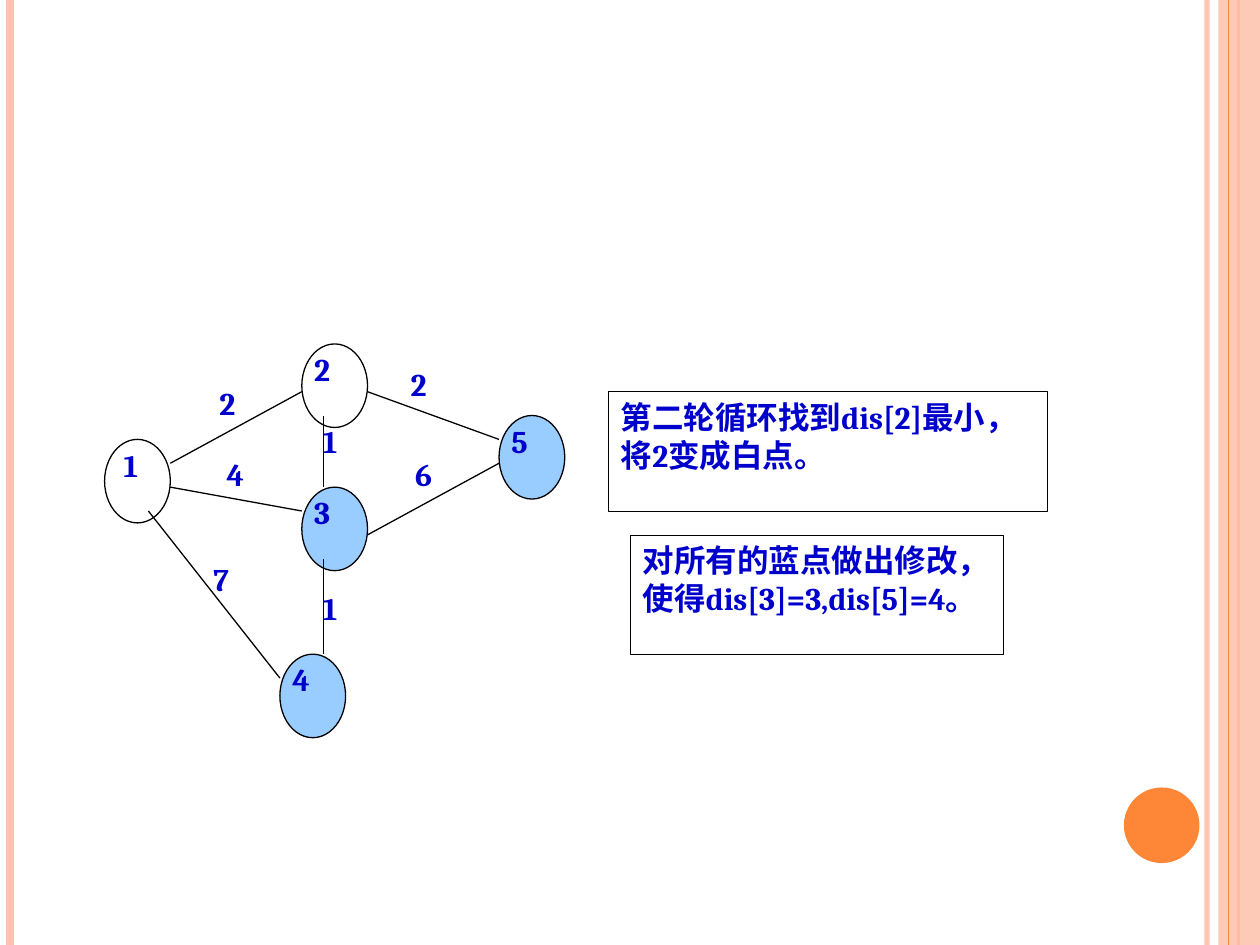
"""Draw the second round of the shortest-route search on a five-node graph."""
from dataclasses import dataclass
from typing import Any, Optional

from lxml.etree import SubElement
from pptx import Presentation
from pptx.dml.color import RGBColor
from pptx.enum.shapes import MSO_CONNECTOR, MSO_SHAPE
from pptx.enum.text import MSO_ANCHOR, PP_ALIGN
from pptx.oxml.ns import qn
from pptx.util import Inches, Pt

WIDE, HIGH = 10, 7.5
LEFT, TOP = 0.83, 2.73
COL, ROW = WIDE / 57.5, HIGH / 39.6


@dataclass(frozen=True)
class Theme:
    ink: str = "0000CC"
    edge: str = "000000"
    blue: str = "99CCFF"
    peach: str = "FEC3AE"
    warm: str = "FE8637"
    font: str = "Cambria"
    size: float = 18
    thin: float = 0.75
    hair: float = 0.25


@dataclass(frozen=True)
class Node:
    col: float
    row: float
    fill: Optional[str] = None


@dataclass(frozen=True)
class Edge:
    col: float
    row: float
    to_col: float
    to_row: float


@dataclass(frozen=True)
class Label:
    text: str
    col: float
    row: float
    cols: float = 2
    rows: float = 3


@dataclass(frozen=True)
class Stripe:
    left: float
    color: str
    width: float
    alpha: int = 100


THEME = Theme()
STRIPES = [
    Stripe(0.958, THEME.peach, 3, 93),
    Stripe(0.008, THEME.peach, 4.5),
    Stripe(0.983, THEME.warm, 1.5),
]
FRONT = Stripe(0.975, THEME.warm, 0.75)
NODES = [
    Node(0, 4),
    Node(9, 0),
    Node(8, 13, THEME.blue),
    Node(9, 6, THEME.blue),
    Node(18, 3, THEME.blue),
]
EDGES = [
    Edge(3, 5, 9, 2),
    Edge(2, 7, 8, 14),
    Edge(3, 6, 9, 7),
    Edge(10, 3, 10, 6),
    Edge(10, 9, 10, 13),
    Edge(12, 8, 18, 5),
    Edge(12, 2, 18, 4),
]
LABELS = [
    Label("1", 0.3, 4),
    Label("2", 9, 0, 3),
    Label("3", 9, 6, 3, 4),
    Label("4", 8, 13, 3, 4),
    Label("5", 18, 3, 3, 4),
    Label("2", 4.67, 1.4),
    Label("4", 5, 4.4),
    Label("7", 4.4, 8.8, 3),
    Label("1", 9.4, 3, 3, 5),
    Label("1", 9.4, 10, 4, 4),
    Label("6", 13.6, 4.4),
    Label("2", 13.4, 0.6),
]
NOTES = [
    Label("第二轮循环找到dis[2]最小，将2变成白点。", 23, 2, 20, 5),
    Label("对所有的蓝点做出修改，使得dis[3]=3,dis[5]=4。", 24, 8, 17, 5),
]


def x_at(col: float) -> int:
    """Turn a grid column into a place across the slide."""
    return Inches(LEFT + col * COL)


def y_at(row: float) -> int:
    """Turn a grid row into a place down the slide."""
    return Inches(TOP + row * ROW)


def fade(fill: Any, alpha: int) -> None:
    """Make a solid fill partly clear."""
    tint = fill._xPr.find(qn("a:solidFill"))[0]
    SubElement(tint, qn("a:alpha"), val=str(alpha * 1000))


def draw_line(shapes: Any, ends: tuple, color: str, width: float, alpha: int = 100) -> None:
    """Draw a straight line with no shadow."""
    line = shapes.add_connector(MSO_CONNECTOR.STRAIGHT, *ends)
    line.line.color.rgb = RGBColor.from_string(color)
    line.line.width = Pt(width)
    if alpha < 100:
        fade(line.line.fill, alpha)
    SubElement(line.element.spPr, qn("a:effectLst"))


def draw_shape(shapes: Any, kind: Any, box: tuple, fill: Optional[str] = None,
               width: float = 0) -> Any:
    """Draw a preset shape with an optional fill and outline."""
    shape = shapes.add_shape(kind, *box)
    shape.shadow.inherit = False
    if fill:
        shape.fill.solid()
        shape.fill.fore_color.rgb = RGBColor.from_string(fill)
    else:
        shape.fill.background()
    if width:
        shape.line.color.rgb = RGBColor.from_string(THEME.edge)
        shape.line.width = Pt(width)
    else:
        shape.line.fill.background()
    return shape


def draw_stripe(shapes: Any, stripe: Stripe) -> None:
    """Draw a stripe down the whole slide."""
    left = Inches(stripe.left * WIDE)
    draw_line(shapes, (left, 0, left, Inches(HIGH)), stripe.color, stripe.width, stripe.alpha)


def draw_frame(shapes: Any) -> None:
    """Draw the side stripes, the band and the dot."""
    for stripe in STRIPES:
        draw_stripe(shapes, stripe)
    left = Inches(0.967 * WIDE)
    band = draw_shape(shapes, MSO_SHAPE.RECTANGLE,
                      (left, 0, Inches(WIDE) - left, Inches(HIGH)), THEME.peach)
    fade(band.fill, 87)
    draw_stripe(shapes, FRONT)
    draw_shape(shapes, MSO_SHAPE.OVAL,
               (Inches(8.92), Inches(6.25), Inches(0.6), Inches(0.6)), THEME.warm)


def place(label: Label) -> tuple:
    """Give the box that a label fills on the grid."""
    return (x_at(label.col), y_at(label.row),
            Inches(label.cols * COL), Inches(label.rows * ROW))


def write(shape: Any, text: str) -> None:
    """Write bold text at the top left of a shape."""
    frame = shape.text_frame
    frame.word_wrap = True
    frame.vertical_anchor = MSO_ANCHOR.TOP
    para = frame.paragraphs[0]
    para.alignment = PP_ALIGN.LEFT
    run = para.add_run()
    run.text = text
    run.font.name = THEME.font
    run.font.size = Pt(THEME.size)
    run.font.bold = True
    run.font.color.rgb = RGBColor.from_string(THEME.ink)


def draw_graph(shapes: Any) -> None:
    """Draw the nodes, edges, labels and notes."""
    for node in NODES:
        box = (x_at(node.col), y_at(node.row), Inches(3 * COL), Inches(3.5 * ROW))
        draw_shape(shapes, MSO_SHAPE.OVAL, box, node.fill, THEME.thin)
    for edge in EDGES:
        ends = (x_at(edge.col), y_at(edge.row), x_at(edge.to_col), y_at(edge.to_row))
        draw_line(shapes, ends, THEME.edge, THEME.thin)
    for label in LABELS:
        write(shapes.add_textbox(*place(label)), label.text)
    for note in NOTES:
        write(draw_shape(shapes, MSO_SHAPE.RECTANGLE, place(note), width=THEME.hair), note.text)


def main() -> None:
    """Build the slide and save it."""
    deck = Presentation()
    deck.slide_width, deck.slide_height = Inches(WIDE), Inches(HIGH)
    slide = deck.slides.add_slide(deck.slide_layouts[6])
    draw_frame(slide.shapes)
    draw_graph(slide.shapes.add_group_shape().shapes)
    deck.save("out.pptx")


if __name__ == "__main__":
    main()
